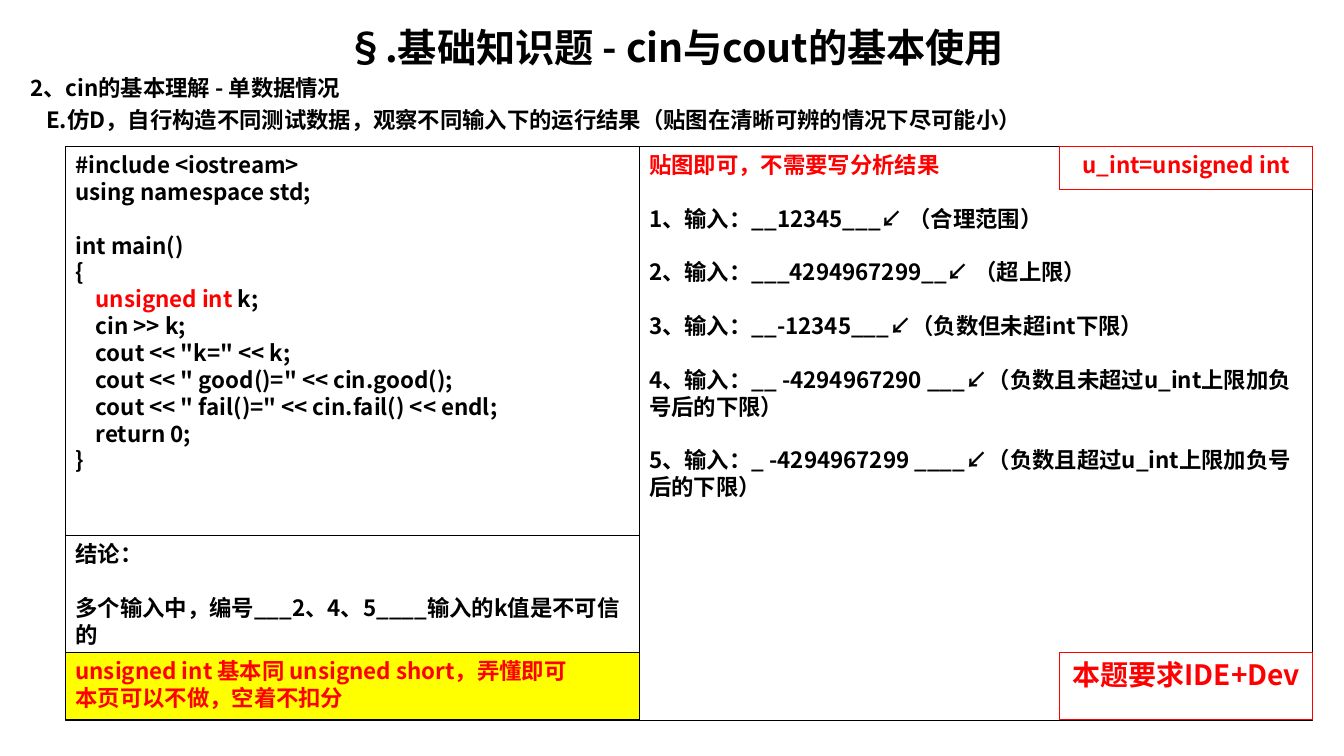
from dataclasses import dataclass

from lxml import etree
from pptx import Presentation
from pptx.dml.color import RGBColor
from pptx.enum.shapes import MSO_SHAPE
from pptx.enum.text import MSO_ANCHOR, PP_ALIGN
from pptx.oxml.ns import qn
from pptx.util import Inches, Pt

RECT = MSO_SHAPE.RECTANGLE
TOP = MSO_ANCHOR.TOP
LEFT, MID = PP_ALIGN.LEFT, PP_ALIGN.CENTER
FONT = "Noto Sans CJK SC"
BLACK, RED, YELLOW = "000000", "FF0000", "FFFF00"
GAP = 19.2


@dataclass
class Line:
    """One paragraph: its runs as (text, colour), space before and indent."""
    runs: list[tuple[str, str]]
    gap: float = 0
    indent: float = 0


@dataclass
class Box:
    """One outlined panel and its text."""
    left: float
    top: float
    width: float
    height: float
    lines: list[Line]
    edge: str = BLACK
    fill: str = ""
    size: int = 16
    align: PP_ALIGN = LEFT


def color(code: str) -> RGBColor:
    """Turn a hex string into a colour."""
    return RGBColor.from_string(code)


def line(text: str, tint: str = BLACK, gap: float = 0, indent: float = 0) -> Line:
    """Make a paragraph of one run."""
    return Line([(text, tint)], gap, indent)


def write(frame, lines: list[Line], size: int, align: PP_ALIGN = LEFT) -> None:
    """Fill a text frame run by run."""
    frame.word_wrap = True
    frame.vertical_anchor = TOP
    for i, item in enumerate(lines):
        para = frame.paragraphs[0] if i == 0 else frame.add_paragraph()
        para.alignment = align
        para.line_spacing = 1.0
        para.space_before = Pt(item.gap)
        if item.indent:
            props = para._p.get_or_add_pPr()
            props.set("marL", str(Inches(item.indent)))
            props.set("indent", "0")
        for text, tint in item.runs:
            run = para.add_run()
            run.text = text
            font = run.font
            font.name, font.size, font.bold = FONT, Pt(size), True
            font.color.rgb = color(tint)
            east = etree.SubElement(run._r.get_or_add_rPr(), qn("a:ea"))
            east.set("typeface", FONT)


def draw(slide, box: Box) -> None:
    """Draw one panel."""
    place = map(Inches, (box.left, box.top, box.width, box.height))
    shape = slide.shapes.add_shape(RECT, *place)
    shape.shadow.inherit = False
    shape.line.color.rgb = color(box.edge)
    shape.line.width = Pt(0.75)
    if box.fill:
        shape.fill.solid()
        shape.fill.fore_color.rgb = color(box.fill)
    else:
        shape.fill.background()
    write(shape.text_frame, box.lines, box.size, box.align)


CODE = [
    line("#include <iostream>"),
    line("using namespace std;"),
    line("int main()", gap=GAP),
    line("{"),
    Line([("    ", BLACK), ("unsigned int ", RED), ("k;", BLACK)]),
    line("    cin >> k;"),
    line('    cout << "k=" << k;'),
    line('    cout << " good()=" << cin.good();'),
    line('    cout << " fail()=" << cin.fail() << endl;'),
    line("    return 0;"),
    line("}"),
]
INPUTS = [
    "__12345___↙ （合理范围）",
    "___4294967299__↙ （超上限）",
    "__-12345___↙（负数但未超int下限）",
    "__ -4294967290 ___↙（负数且未超过u_int上限加负号后的下限）",
    "_ -4294967299 ____↙（负数且超过u_int上限加负号后的下限）",
]
TESTS = [line("贴图即可，不需要写分析结果", RED)] + [
    line(f"{n}、输入：{text}", gap=GAP) for n, text in enumerate(INPUTS, 1)
]
RESULT = [
    line("结论："),
    line("多个输入中，编号___2、4、5____输入的k值是不可信的", gap=GAP),
]
NOTE = [
    line("unsigned int 基本同 unsigned short，弄懂即可", RED),
    line("本页可以不做，空着不扣分", RED),
]
HEAD = [
    line("2、cin的基本理解 - 单数据情况"),
    line("E.仿D，自行构造不同测试数据，观察不同输入下的运行结果（贴图在清晰可辨的情况下尽可能小）",
         gap=3.2, indent=0.16),
]
BOXES = [
    Box(0.65, 1.45, 5.69, 5.7, CODE),
    Box(6.34, 1.45, 6.68, 5.7, TESTS),
    Box(10.51, 6.47, 2.51, 0.67, [line("本题要求IDE+Dev", RED)], RED, size=20, align=MID),
    Box(0.65, 5.31, 5.69, 1.83, RESULT),
    Box(10.51, 1.45, 2.51, 0.43, [line("u_int=unsigned int", RED)], RED, align=MID),
    Box(0.65, 6.47, 5.69, 0.67, NOTE, fill=YELLOW),
]


def main() -> None:
    """Build the slide and save it."""
    deck = Presentation()
    deck.slide_width, deck.slide_height = Inches(13.33), Inches(7.5)
    slide = deck.slides.add_slide(deck.slide_layouts[5])
    title = slide.shapes.title
    title.left, title.top = Inches(0.2), Inches(0.18)
    title.width, title.height = Inches(12.99), Inches(0.57)
    write(title.text_frame, [line("§.基础知识题 - cin与cout的基本使用")], 28, MID)
    head = slide.shapes.add_textbox(Inches(0.2), Inches(0.69), Inches(12.99), Inches(0.7))
    write(head.text_frame, HEAD, 16)
    for box in BOXES:
        draw(slide, box)
    deck.save("out.pptx")


if __name__ == "__main__":
    main()
